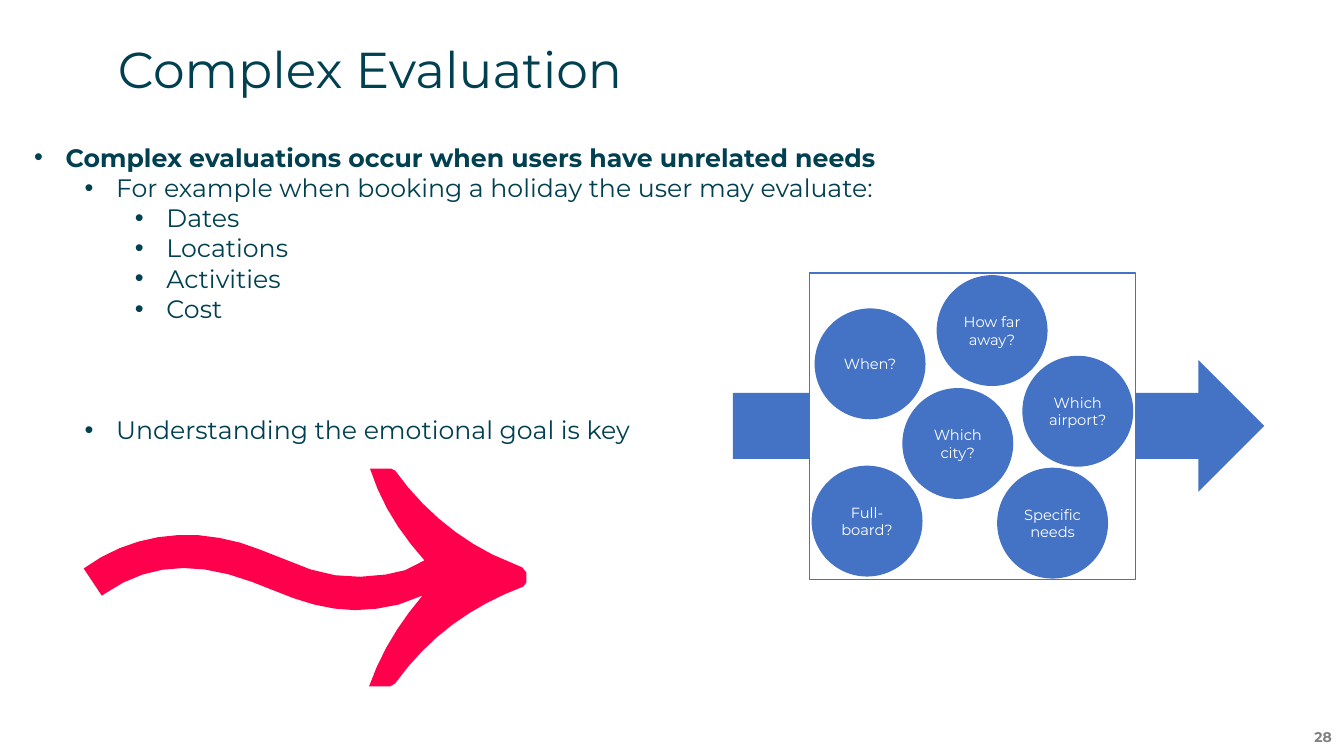
from dataclasses import dataclass
from math import dist

from lxml.etree import SubElement
from pptx import Presentation
from pptx.dml.color import RGBColor
from pptx.enum.shapes import MSO_SHAPE as Shape
from pptx.enum.text import MSO_ANCHOR as Anchor, MSO_AUTO_SIZE as AutoSize, PP_ALIGN as Align
from pptx.oxml.ns import qn
from pptx.util import Pt

PX = 9144  # 100 px to the inch


@dataclass(frozen=True)
class Theme:
    font: str = "Montserrat"
    ink: str = "004050"
    accent: str = "FF004C"
    blue: str = "4472C4"
    white: str = "FFFFFF"
    grey: str = "808080"
    title: float = 36
    title_line: float = 42
    body: float = 18
    hanging: float = 22.5
    level_step: float = 36
    label: float = 10.5
    number: float = 10


THEME = Theme()

# Level, text and space before in points
BULLETS = [
    (0, "Complex evaluations occur when users have unrelated needs", 0),
    (1, "For example when booking a holiday the user may evaluate:", 0),
    (2, "Dates", 0),
    (2, "Locations", 0),
    (2, "Activities", 0),
    (2, "Cost", 0),
    (1, "Understanding the emotional goal is key", 65),
]

# Question and its place inside the frame
QUESTIONS = [
    ("When?", 5, 35),
    ("How far away?", 126, 2),
    ("Which city?", 92, 114),
    ("Full-board?", 2, 191),
    ("Which airport?", 211, 82),
    ("Specific needs", 186, 193),
]

# Outline of the swoosh: two numbers make a line, six make a cubic curve
SWOOSH_START = (283, 216)
SWOOSH = [
    (295, 182, 313, 153, 336, 126),
    (335, 126, 334, 127, 333, 127),
    (320, 134, 305, 137, 290, 139),
    (255, 144, 222, 135, 189, 121),
    (167, 112, 144, 103, 120, 100),
    (84, 95, 51, 103, 21, 124),
    (18, 126),
    (0, 99),
    (6, 95, 12, 91, 17, 88),
    (47, 71, 80, 64, 114, 66),
    (135, 68, 155, 72, 174, 80),
    (191, 87, 208, 93, 225, 100),
    (249, 108, 274, 109, 300, 105),
    (313, 103, 325, 100, 336, 92),
    (337, 92, 337, 92, 338, 91),
    (314, 64, 295, 35, 284, 0),
    (305, 0),
    (306, 0, 308, 1, 309, 2),
    (334, 37, 367, 66, 405, 85),
    (415, 90, 425, 94, 435, 98),
    (438, 99, 439, 100, 439, 103),
    (439, 113),
    (439, 115, 438, 117, 436, 117),
    (417, 124, 399, 133, 383, 143),
    (354, 161, 329, 185, 309, 213),
    (308, 215, 306, 216, 304, 216),
]
CURVE_STEP = 22


def scaled(box):
    return [value * PX for value in box]


def add_span(para, text, size, color, bold=False):
    span = para.add_run()
    span.text = text
    span.font.name = THEME.font
    span.font.size = Pt(size)
    span.font.bold = bold
    span.font.color.rgb = RGBColor.from_string(color)


def paint(shape, fill, line=None):
    shape.shadow.inherit = False
    shape.fill.solid()
    shape.fill.fore_color.rgb = RGBColor.from_string(fill)
    if line:
        shape.line.color.rgb = RGBColor.from_string(line)
        shape.line.width = Pt(1)
    else:
        shape.line.fill.background()


def clear_insets(frame):
    frame.margin_left = frame.margin_right = frame.margin_top = frame.margin_bottom = 0


def add_bullet(para, level):
    props = para._p.get_or_add_pPr()
    props.set("marL", str(Pt(THEME.hanging + THEME.level_step * level)))
    props.set("indent", str(-Pt(THEME.hanging)))
    SubElement(props, qn("a:buFont")).set("typeface", "Arial")
    SubElement(props, qn("a:buChar")).set("char", "•")


def curve_points(start, segments):
    """Turn lines and cubic curves into a chain of points, more on longer curves."""
    last = start
    for segment in segments:
        end = segment[-2:]
        if len(segment) == 2:
            yield end
        else:
            corners = [last, segment[:2], segment[2:4], end]
            steps = max(1, round(dist(last, end) / CURVE_STEP))
            for step in range(1, steps + 1):
                t = step / steps
                weights = ((1 - t) ** 3, 3 * t * (1 - t) ** 2, 3 * t * t * (1 - t), t ** 3)
                yield tuple(sum(w * c[axis] for w, c in zip(weights, corners)) for axis in (0, 1))
        last = end


def add_swoosh(page, left, top):
    def place(point):
        return round((left + point[0]) * PX), round((top + point[1]) * PX)

    builder = page.shapes.build_freeform(*place(SWOOSH_START), scale=1.0)
    builder.add_line_segments([place(p) for p in curve_points(SWOOSH_START, SWOOSH)], close=True)
    paint(builder.convert_to_shape(), THEME.accent)


def add_title(page, box, text):
    title = page.shapes.title
    title.left, title.top, title.width, title.height = scaled(box)
    frame = title.text_frame
    clear_insets(frame)
    frame.auto_size = AutoSize.NONE
    frame.vertical_anchor = Anchor.TOP
    para = frame.paragraphs[0]
    para.alignment = Align.LEFT
    para.line_spacing = Pt(THEME.title_line)
    add_span(para, text, THEME.title, THEME.ink)


def add_bullets(page, box):
    frame = page.shapes.add_textbox(*scaled(box)).text_frame
    frame.word_wrap = True
    for index, (level, text, gap) in enumerate(BULLETS):
        para = frame.add_paragraph() if index else frame.paragraphs[0]
        para.level = level
        if gap:
            para.space_before = Pt(gap)
        add_bullet(para, level)
        add_span(para, text, THEME.body, THEME.ink, bold=level == 0)


def add_page_number(page, box, text):
    frame = page.shapes.add_textbox(*scaled(box)).text_frame
    frame.word_wrap = True
    clear_insets(frame)
    frame.vertical_anchor = Anchor.BOTTOM
    para = frame.paragraphs[0]
    para.alignment = Align.RIGHT
    add_span(para, text, THEME.number, THEME.grey, bold=True)


def add_evaluation_diagram(page, box):
    left, top, width, height = box
    group = page.shapes.add_group_shape().shapes

    # Arrow running behind the frame
    paint(group.add_shape(Shape.RIGHT_ARROW, *scaled((left, top + 86, width, 131))), THEME.blue)
    frame_left = left + 76
    frame_box = (frame_left, top, 323, height)
    paint(group.add_shape(Shape.RECTANGLE, *scaled(frame_box)), THEME.white, THEME.blue)

    # Questions inside the frame
    for text, x, y in QUESTIONS:
        circle = group.add_shape(Shape.OVAL, *scaled((frame_left + x, top + y, 110, 110)))
        paint(circle, THEME.blue)
        circle.text_frame.word_wrap = True
        circle.text_frame.vertical_anchor = Anchor.MIDDLE
        para = circle.text_frame.paragraphs[0]
        para.alignment = Align.CENTER
        add_span(para, text, THEME.label, THEME.white)


def main():
    deck = Presentation()
    deck.slide_width, deck.slide_height = scaled((1333, 750))
    page = deck.slides.add_slide(deck.slide_layouts[5])
    add_swoosh(page, 83, 465)
    add_title(page, (117, 39, 1164, 55), "Complex Evaluation")
    add_bullets(page, (24, 136, 905, 374))
    add_page_number(page, (1235, 719, 86, 20), "28")
    add_evaluation_diagram(page, (727, 271, 527, 304))
    deck.save("out.pptx")


if __name__ == "__main__":
    main()
